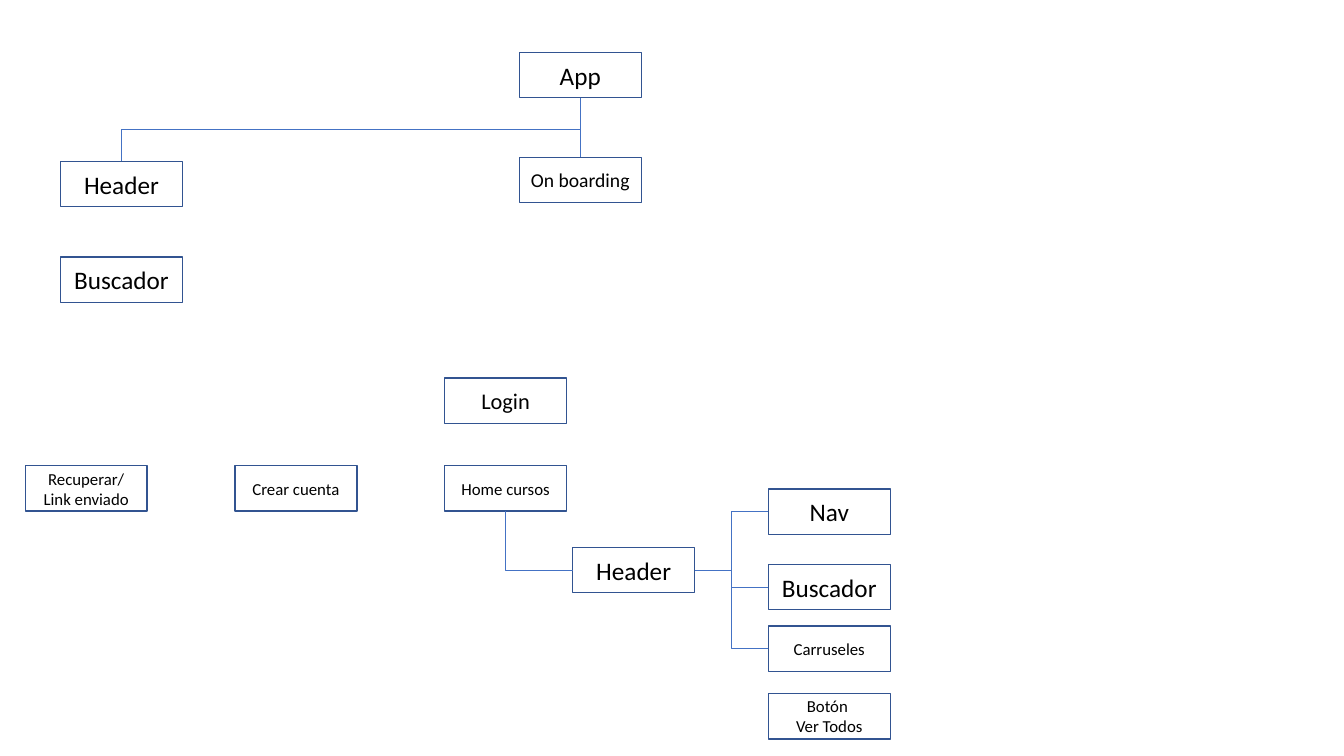
from lxml.etree import SubElement
from pptx import Presentation
from pptx.dml.color import RGBColor
from pptx.enum.shapes import MSO_CONNECTOR, MSO_SHAPE
from pptx.enum.text import MSO_ANCHOR, PP_ALIGN
from pptx.oxml.ns import qn
from pptx.util import Inches, Pt

NODE_WIDTH, NODE_HEIGHT = 1.21, 0.45
TOP, LEFT, BOTTOM, RIGHT = range(4)


def color(hex_value):
    return RGBColor.from_string(hex_value)


def add_node(slide, left, top, text, size):
    shape = slide.shapes.add_shape(
        MSO_SHAPE.RECTANGLE, Inches(left), Inches(top), Inches(NODE_WIDTH), Inches(NODE_HEIGHT)
    )
    shape.shadow.inherit = False
    shape.fill.background()
    shape.line.color.rgb = color("325491")
    shape.line.width = Pt(1)
    frame = shape.text_frame
    frame.word_wrap = True
    frame.vertical_anchor = MSO_ANCHOR.MIDDLE
    frame.text = text
    for paragraph in frame.paragraphs:
        paragraph.alignment = PP_ALIGN.CENTER
        paragraph.font.name = "Calibri"
        paragraph.font.size = Pt(size)
        paragraph.font.color.rgb = color("000000")
    return shape


def link(slide, start, start_side, end, end_side, kind=MSO_CONNECTOR.ELBOW):
    connector = slide.shapes.add_connector(kind, 0, 0, 0, 0)
    connector.begin_connect(start, start_side)
    connector.end_connect(end, end_side)
    connector.line.color.rgb = color("4472C4")
    connector.line.width = Pt(0.5)
    SubElement(connector._element.spPr, qn("a:effectLst"))
    return connector


def link_down(slide, start, end, end_side):
    connector = link(slide, start, BOTTOM, end, end_side)
    center_x = (connector.begin_x + connector.end_x) // 2
    center_y = (connector.begin_y + connector.end_y) // 2
    across = connector.begin_x - center_x
    down = connector.begin_y - center_y
    connector.begin_x, connector.begin_y = center_x + down, center_y - across
    connector.end_x, connector.end_y = center_x - down, center_y + across
    properties = connector._element.spPr
    properties.find(qn("a:xfrm")).set("rot", "5400000")
    if end_side == LEFT:
        properties.find(qn("a:prstGeom")).set("prst", "bentConnector2")


def add_app_tree(slide, left, top):
    app = add_node(slide, left + 4.55, top, "App", 18)
    header = add_node(slide, left, top + 1.08, "Header", 18)
    onboarding = add_node(slide, left + 4.55, top + 1.04, "On boarding", 14)
    add_node(slide, left, top + 2.03, "Buscador", 18)
    link_down(slide, app, header, TOP)
    link(slide, app, BOTTOM, onboarding, TOP, MSO_CONNECTOR.STRAIGHT)


def add_access_screens(slide, left, top):
    column_step = 2.08
    add_node(slide, left + 2 * column_step, top, "Login", 16)
    screens = ["Recuperar/\nLink enviado", "Crear cuenta", "Home cursos"]
    nodes = [
        add_node(slide, left + column * column_step, top + 0.87, text, 12)
        for column, text in enumerate(screens)
    ]
    return nodes[-1]


def add_home_tree(slide, left, top, home):
    header = add_node(slide, left, top + 0.58, "Header", 18)
    link_down(slide, home, header, LEFT)
    sections = [(0, "Nav", 18), (0.75, "Buscador", 18), (1.36, "Carruseles", 12)]
    for offset, text, size in sections:
        section = add_node(slide, left + 1.94, top + offset, text, size)
        link(slide, header, RIGHT, section, LEFT)
    add_node(slide, left + 1.94, top + 2.03, "Botón \nVer Todos", 12)


def main():
    presentation = Presentation()
    presentation.slide_width = Inches(13.33)
    presentation.slide_height = Inches(7.5)
    slide = presentation.slides.add_slide(presentation.slide_layouts[6])
    add_app_tree(slide, 0.6, 0.52)
    home = add_access_screens(slide, 0.25, 3.75)
    add_home_tree(slide, 5.68, 4.85, home)
    presentation.save("out.pptx")


if __name__ == "__main__":
    main()
